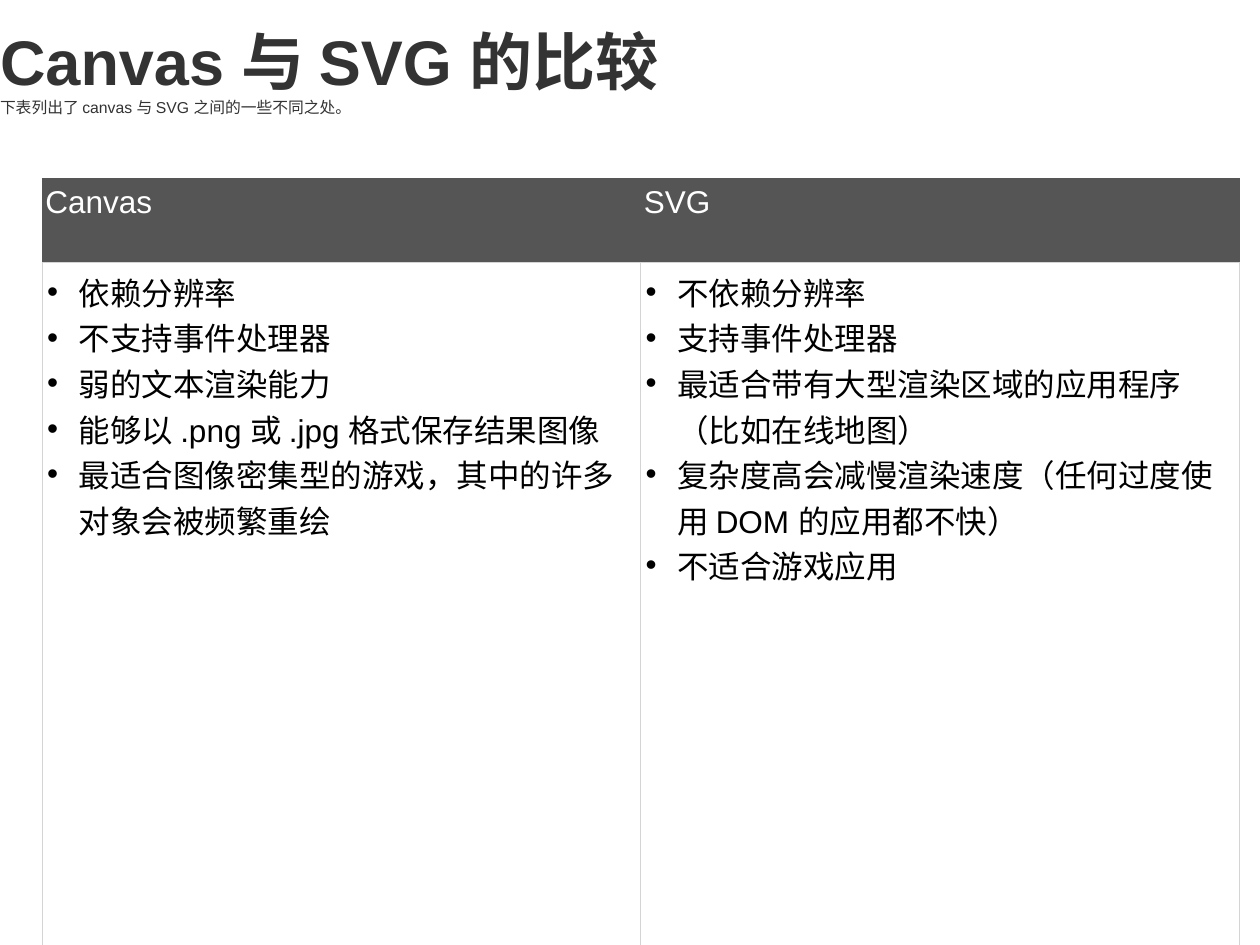
from lxml import etree
from pptx import Presentation
from pptx.dml.color import RGBColor
from pptx.enum import text as t
from pptx.oxml.ns import qn
from pptx.util import Pt

HEADING = "Canvas 与 SVG 的比较"
INTRO = "下表列出了 canvas 与 SVG 之间的一些不同之处。"
COMPARISON = {
    "Canvas": [
        "依赖分辨率",
        "不支持事件处理器",
        "弱的文本渲染能力",
        "能够以 .png 或 .jpg 格式保存结果图像",
        "最适合图像密集型的游戏，其中的许多对象会被频繁重绘",
    ],
    "SVG": [
        "不依赖分辨率",
        "支持事件处理器",
        "最适合带有大型渲染区域的应用程序（比如在线地图）",
        "复杂度高会减慢渲染速度（任何过度使用 DOM 的应用都不快）",
        "不适合游戏应用",
    ],
}
COLORS = {"white": "FFFFFF", "black": "000000", "heading": "333333",
          "header": "555555", "grid": "D4D4D4"}
FONT = "Arial"
WIDTH, HEIGHT = 720, 540
CONTENT_WIDTH = 684
TABLE_LEFT, TABLE_TOP = 24, 102
HEADER_HEIGHT = 48
BULLET_INDENT = 18
BORDER_WIDTH = 0.28


def rgb(name):
    return RGBColor.from_string(COLORS[name])


def add_color(parent, name):
    etree.SubElement(parent, qn("a:srgbClr"), val=COLORS[name])


def write(frame, content, size=18, color="black", bold=False, bullet=False):
    """Add one paragraph, using the frame's first one while it is empty."""
    first = frame.paragraphs[0]
    paragraph = frame.add_paragraph() if first.runs else first
    paragraph.alignment = t.PP_ALIGN.LEFT
    run = paragraph.add_run()
    run.text = content
    run.font.name = FONT
    run.font.size = Pt(size)
    run.font.bold = bold
    run.font.color.rgb = rgb(color)
    if bullet:
        properties = paragraph._p.get_or_add_pPr()
        properties.set("marL", str(Pt(BULLET_INDENT)))
        properties.set("indent", str(-Pt(BULLET_INDENT)))
        add_color(etree.SubElement(properties, qn("a:buClr")), color)
        etree.SubElement(properties, qn("a:buFont"), typeface=FONT)
        etree.SubElement(properties, qn("a:buChar"), char="•")


def set_margins(box, side, vertical):
    box.margin_left = box.margin_right = Pt(side)
    box.margin_top = box.margin_bottom = Pt(vertical)


def style_cell(cell, fill, side_margin, borders):
    """Borders hold one colour name each for left, right, top and bottom."""
    set_margins(cell, side_margin, 3.6)
    cell.fill.solid()
    cell.fill.fore_color.rgb = rgb(fill)
    properties = cell._tc.get_or_add_tcPr()
    for position, (side, color) in enumerate(zip("LRTB", borders)):
        line = etree.Element(qn(f"a:ln{side}"), w=str(Pt(BORDER_WIDTH)))
        add_color(etree.SubElement(line, qn("a:solidFill")), color)
        properties.insert(position, line)


def add_heading(slide):
    title = slide.shapes.title
    title.left, title.top = Pt(0), Pt(0)
    title.width, title.height = Pt(CONTENT_WIDTH), Pt(79.2)
    title.fill.solid()
    title.fill.fore_color.rgb = rgb("white")
    frame = title.text_frame
    set_margins(frame, 0, 12)
    frame.word_wrap = True
    frame.vertical_anchor = t.MSO_ANCHOR.MIDDLE
    frame.auto_size = t.MSO_AUTO_SIZE.SHAPE_TO_FIT_TEXT
    write(frame, HEADING, size=36, color="heading", bold=True)
    write(frame, INTRO, size=9, color="heading")


def add_comparison(slide):
    body_height = HEIGHT - TABLE_TOP - HEADER_HEIGHT
    table = slide.shapes.add_table(
        2, len(COMPARISON), Pt(TABLE_LEFT), Pt(TABLE_TOP),
        Pt(CONTENT_WIDTH), Pt(HEIGHT - TABLE_TOP)).table
    for row, height in zip(table.rows, (HEADER_HEIGHT, body_height)):
        row.height = Pt(height)
    for column, (technology, traits) in enumerate(COMPARISON.items()):
        table.columns[column].width = Pt(CONTENT_WIDTH / len(COMPARISON))
        header, body = table.cell(0, column), table.cell(1, column)
        style_cell(header, "header", 2, ["header"] * 3 + ["grid"])
        style_cell(body, "white", 3, ["grid"] * 4)
        write(header.text_frame, technology, color="white")
        for trait in traits:
            write(body.text_frame, trait, bullet=True)


def main():
    deck = Presentation()
    deck.slide_width, deck.slide_height = Pt(WIDTH), Pt(HEIGHT)
    slide = deck.slides.add_slide(deck.slide_layouts.get_by_name("Title Only"))
    add_comparison(slide)
    add_heading(slide)
    deck.save("out.pptx")


if __name__ == "__main__":
    main()
